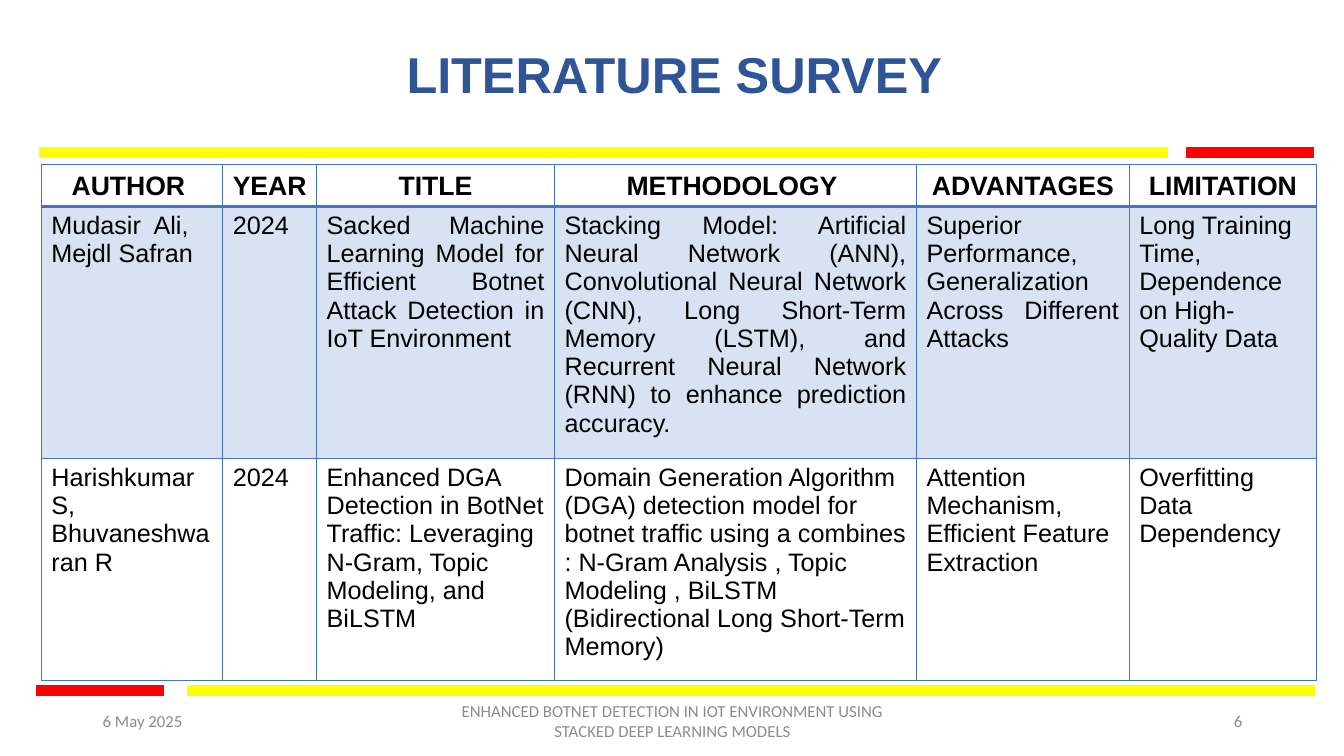
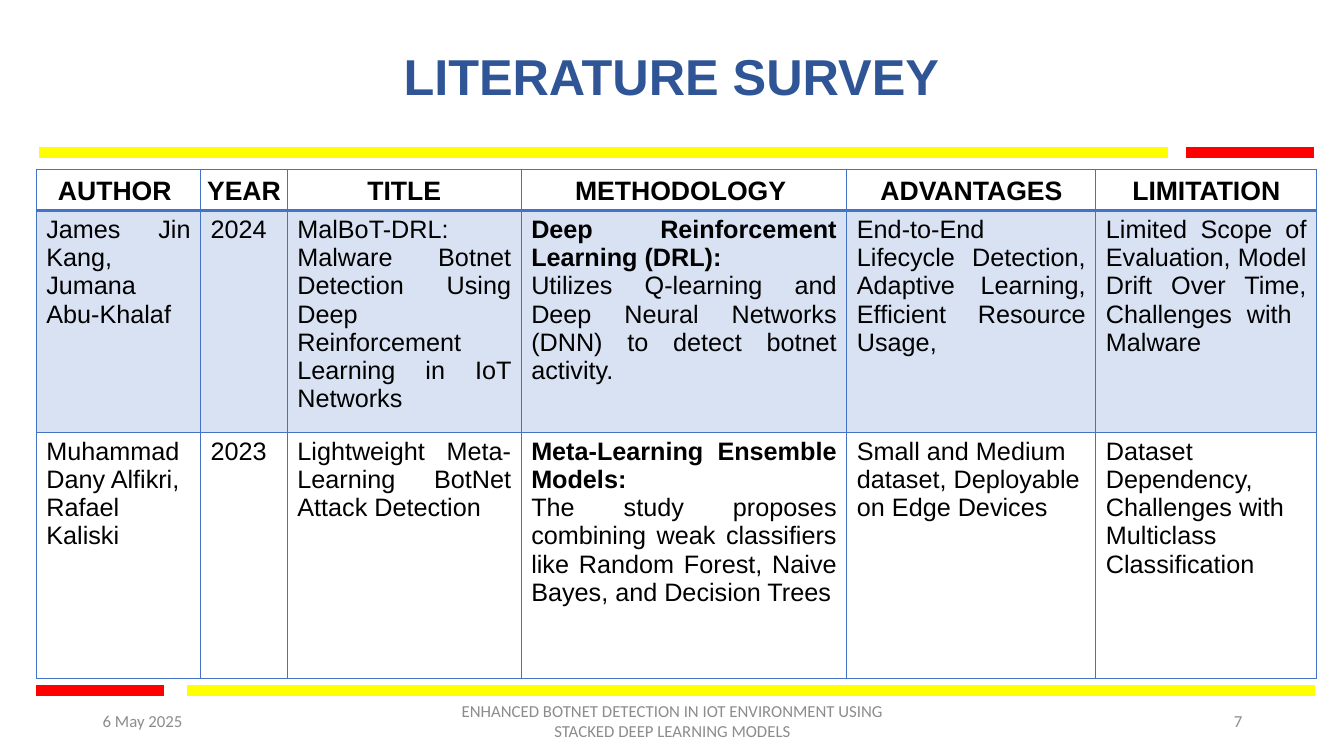
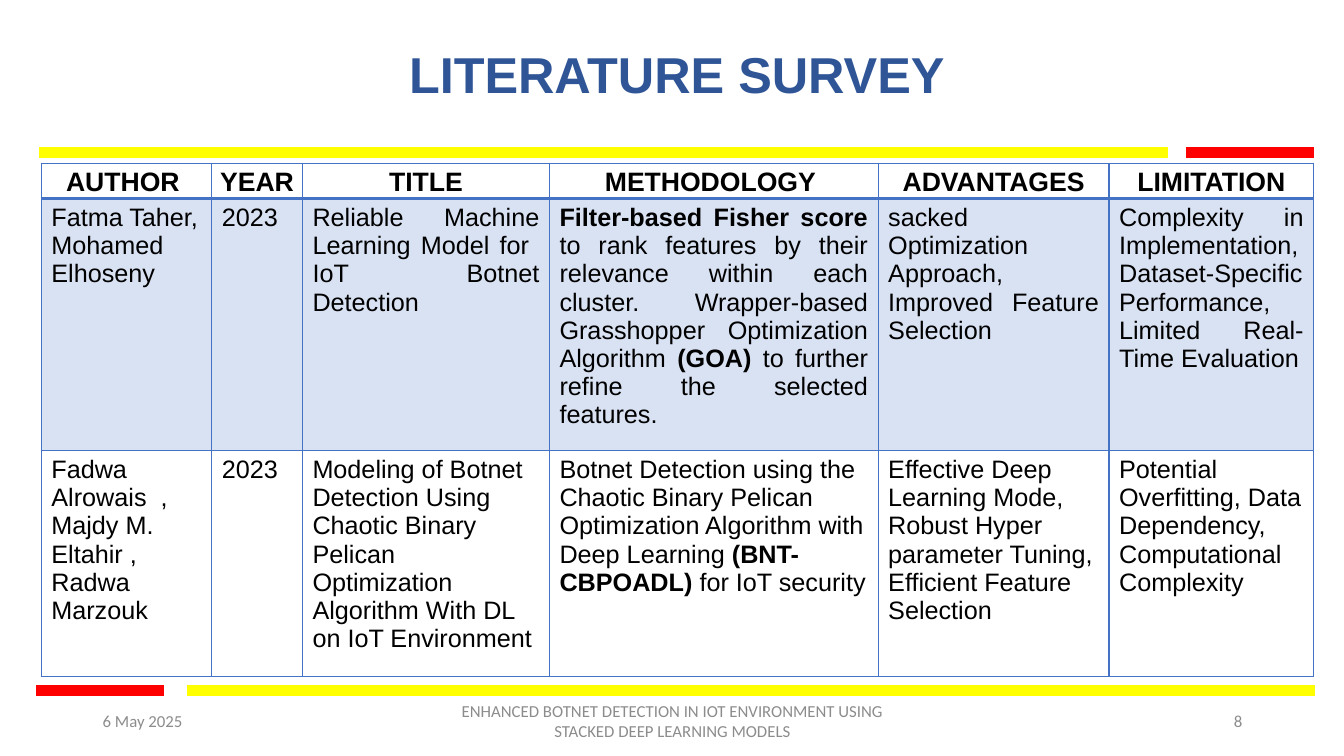
import pptx
import pptx.dml.color
import pptx.enum.shapes
import pptx.enum.text
import pptx.oxml
import pptx.oxml.ns
import pptx.util
import lxml.etree

PX = 9144
YELLOW = pptx.dml.color.RGBColor(0xFF, 0xFF, 0x00)
RED = pptx.dml.color.RGBColor(0xFF, 0x00, 0x00)
NAVY = pptx.dml.color.RGBColor(0x2F, 0x55, 0x97)
BLUE = pptx.dml.color.RGBColor(0x44, 0x72, 0xC4)
GREY = pptx.dml.color.RGBColor(0x8C, 0x8C, 0x8C)
BLACK = pptx.dml.color.RGBColor(0x00, 0x00, 0x00)
LEFT = pptx.enum.text.PP_ALIGN.LEFT
CENTER = pptx.enum.text.PP_ALIGN.CENTER
RIGHT = pptx.enum.text.PP_ALIGN.RIGHT
JUSTIFY = pptx.enum.text.PP_ALIGN.JUSTIFY
MIDDLE = pptx.enum.text.MSO_ANCHOR.MIDDLE

BANDS = [
    (39, 1158, 151, YELLOW),
    (1176, 1303, 151, RED),
    (36, 163, 685, RED),
    (185, 1304, 685, YELLOW),
]
HEADINGS = ["AUTHOR ", "YEAR", "TITLE", "METHODOLOGY ", "ADVANTAGES", "LIMITATION"]
DATE = "6 May 2025"
PROJECT = "ENHANCED BOTNET DETECTION IN IOT ENVIRONMENT USING STACKED DEEP LEARNING MODELS"

SURVEYS = [
    {
        "number": 6,
        "title_box": (31, 30, 1276, 93),
        "origin": (41, 163),
        "columns": [180, 93, 236, 359, 211, 186],
        "rows": [42, 250, 220],
        "justified": [(0, 1, 2, 3, 4), ()],
        "papers": [
            [
                "Mudasir  Ali,\nMejdl Safran",
                "2024",
                "Sacked Machine Learning Model for Efficient Botnet Attack Detection in IoT Environment",
                "Stacking Model: Artificial Neural Network (ANN), Convolutional Neural Network (CNN), "
                "Long Short-Term Memory (LSTM), and Recurrent Neural Network (RNN) to enhance "
                "prediction accuracy.",
                "Superior Performance, Generalization Across Different Attacks",
                "Long Training Time, Dependence\non High-Quality Data",
            ],
            [
                "Harishkumar S, Bhuvaneshwaran R",
                "2024",
                "Enhanced DGA Detection in BotNet Traffic: Leveraging N-Gram, Topic Modeling, and BiLSTM",
                "Domain Generation Algorithm (DGA) detection model for botnet traffic using a combines "
                ": N-Gram Analysis , Topic Modeling , BiLSTM (Bidirectional Long Short-Term Memory)",
                "Attention Mechanism, Efficient Feature Extraction",
                "Overfitting Data Dependency",
            ],
        ],
    },
    {
        "number": 7,
        "title_box": (27, 30, 1278, 97),
        "origin": (36, 168),
        "columns": [163, 86, 232, 323, 247, 219],
        "rows": [41, 210, 244],
        "justified": [(0, 1, 2, 3, 4, 5), (0, 2, 3)],
        "papers": [
            [
                "James Jin Kang,\nJumana Abu-Khalaf",
                "2024",
                "MalBoT-DRL: Malware Botnet Detection Using Deep Reinforcement Learning in IoT Networks",
                "**Deep Reinforcement Learning (DRL):**\n"
                "Utilizes Q-learning and Deep Neural Networks (DNN) to detect botnet activity.",
                "End-to-End Lifecycle Detection, Adaptive Learning, Efficient Resource Usage,",
                "Limited Scope of Evaluation, Model Drift Over Time, Challenges with  Malware",
            ],
            [
                "Muhammad Dany Alfikri, \nRafael Kaliski",
                "2023",
                "Lightweight Meta-Learning BotNet Attack Detection",
                "**Meta-Learning Ensemble Models:**\n"
                "The study proposes combining weak classifiers like Random Forest, Naive Bayes, "
                "and Decision Trees",
                "Small and Medium dataset, Deployable on Edge Devices",
                "Dataset Dependency, Challenges with Multiclass Classification",
            ],
        ],
    },
    {
        "number": 8,
        "title_box": (41, 30, 1261, 93),
        "origin": (41, 162),
        "columns": [169, 90, 245, 326, 229, 203],
        "rows": [35, 248, 224],
        "justified": [(0, 1, 2, 3, 4, 5), ()],
        "papers": [
            [
                "Fatma Taher,\nMohamed Elhoseny",
                "2023",
                "Reliable Machine Learning Model for  IoT Botnet Detection ",
                "**Filter-based Fisher score** to rank features by their relevance within each cluster. "
                "Wrapper-based Grasshopper Optimization Algorithm **(GOA)** to further refine the "
                "selected features.",
                "sacked Optimization Approach, Improved Feature Selection",
                "Complexity in Implementation, Dataset-Specific Performance, Limited Real-Time Evaluation",
            ],
            [
                "Fadwa Alrowais  , Majdy M. Eltahir ,  Radwa Marzouk",
                "2023",
                "Modeling of Botnet Detection Using Chaotic Binary Pelican Optimization Algorithm "
                "With DL on IoT Environment",
                "Botnet Detection using the Chaotic Binary Pelican Optimization Algorithm with Deep "
                "Learning **(BNT-CBPOADL)** for IoT security",
                "Effective Deep Learning Mode, Robust Hyper parameter Tuning, Efficient Feature Selection",
                "Potential Overfitting, Data Dependency, Computational Complexity",
            ],
        ],
    },
]


def write(frame, text, size=18, font="Arial", color=BLACK, bold=False, align=LEFT,
          spacing=1.0, after=0):
    frame.word_wrap = True
    for index, line in enumerate(text.split("\n")):
        paragraph = frame.add_paragraph() if index else frame.paragraphs[0]
        paragraph.alignment = align
        paragraph.line_spacing = spacing
        paragraph.space_after = pptx.util.Pt(after)
        for part, words in enumerate(line.split("**")):
            if words:
                run = paragraph.add_run()
                run.text = words
                run.font.size = pptx.util.Pt(size)
                run.font.name = font
                run.font.color.rgb = color
                run.font.bold = bold or part % 2 == 1


def outline(cell, bottom):
    properties = cell._tc.get_or_add_tcPr()
    for side, width in (("L", 1), ("R", 1), ("T", 1), ("B", bottom)):
        properties.append(pptx.oxml.parse_xml(
            f'<a:ln{side} {pptx.oxml.ns.nsdecls("a")} w="{width * 12700}">'
            f'<a:solidFill><a:srgbClr val="{BLUE}"/></a:solidFill></a:ln{side}>'))


deck = pptx.Presentation()
deck.slide_width = 1333 * PX
deck.slide_height = 750 * PX

for survey in SURVEYS:
    slide = deck.slides.add_slide(deck.slide_layouts[6])

    for start, end, y, color in BANDS:
        band = slide.shapes.add_connector(
            pptx.enum.shapes.MSO_CONNECTOR.STRAIGHT, start * PX, y * PX, end * PX, y * PX)
        band.line.color.rgb = color
        band.line.width = pptx.util.Pt(8)
        lxml.etree.SubElement(band._element.spPr, pptx.oxml.ns.qn("a:effectLst"))

    footer = {"size": 12, "font": "Calibri", "color": GREY}
    captions = [
        (survey["title_box"], "LITERATURE SURVEY",
         {"size": 36, "color": NAVY, "bold": True, "align": CENTER, "spacing": 0.9}),
        ((942, 695, 300, 40), str(survey["number"]), {**footer, "align": RIGHT}),
        ((92, 695, 300, 40), DATE, footer),
        ((442, 695, 450, 40), PROJECT, {**footer, "align": CENTER}),
    ]
    for box, text, style in captions:
        caption = slide.shapes.add_textbox(*(length * PX for length in box)).text_frame
        caption.vertical_anchor = MIDDLE
        write(caption, text, **style)

    left, top = survey["origin"]
    columns, rows = survey["columns"], survey["rows"]
    papers = slide.shapes.add_table(
        len(rows), len(columns), left * PX, top * PX, sum(columns) * PX, sum(rows) * PX).table
    papers.first_row = False
    papers.horz_banding = False
    for column, width in zip(papers.columns, columns):
        column.width = width * PX
    for row, height in zip(papers.rows, rows):
        row.height = height * PX

    for c, heading in enumerate(HEADINGS):
        cell = papers.cell(0, c)
        cell.vertical_anchor = MIDDLE
        cell.margin_left = cell.margin_right = 2 * PX
        cell.margin_top = cell.margin_bottom = 0
        outline(cell, 2)
        cell.fill.background()
        write(cell.text_frame, heading, size=19, bold=True, align=CENTER, spacing=1.07, after=8)

    for r, (paper, justified) in enumerate(zip(survey["papers"], survey["justified"]), 1):
        for c, text in enumerate(paper):
            cell = papers.cell(r, c)
            outline(cell, 1)
            if r == 1:
                cell.fill.solid()
                cell.fill.fore_color.rgb = BLUE
                tint = cell._tc.tcPr.find(pptx.oxml.ns.qn("a:solidFill"))[0]
                lxml.etree.SubElement(tint, pptx.oxml.ns.qn("a:alpha"), val="20000")
            else:
                cell.fill.background()
            write(cell.text_frame, text, align=JUSTIFY if c in justified else LEFT)

deck.save("out.pptx")
